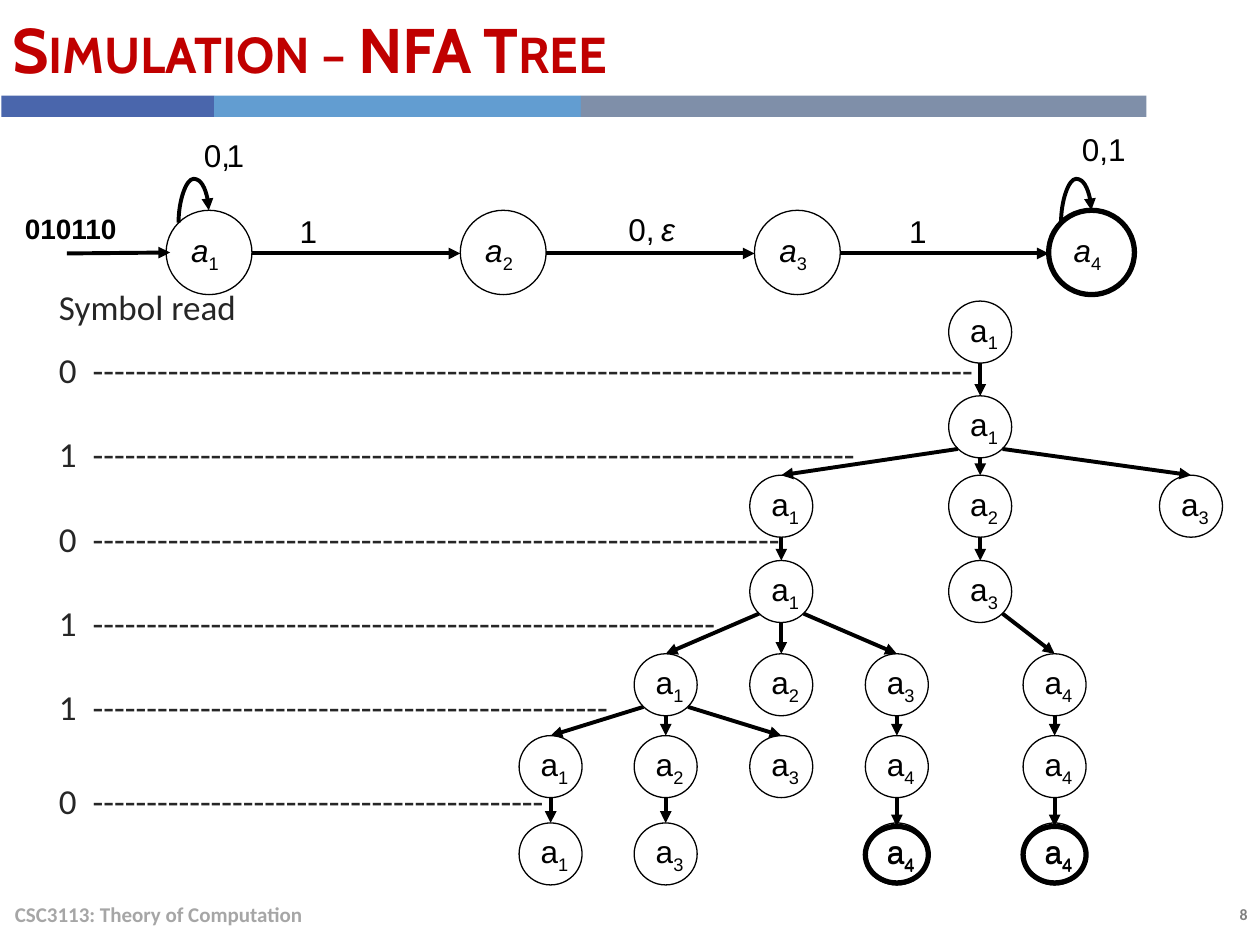
from lxml import etree
from pptx import Presentation, util as u
from pptx.dml import color as c
from pptx.enum import shapes as s, text as t
from pptx.oxml import ns

BLACK = "000000"
LABEL = {"name": "Arial", "size": u.Pt(18)}


def write(paragraph, string, hex_color, font_format):
    """Add a run and set its font from a dict of format values."""
    run = paragraph.add_run()
    run.text = string
    run.font.color.rgb = c.RGBColor.from_string(hex_color)
    for name, value in font_format.items():
        setattr(run.font, name, value)
    return run


def add_arrow(kind, *ends):
    """Add a black connector with an arrowhead; ends are x1, y1, x2, y2 in cm."""
    connector = slide.shapes.add_connector(kind, *[u.Cm(end) for end in ends])
    connector.line.width = u.Pt(2.25)
    connector.line.color.rgb = c.RGBColor.from_string(BLACK)
    etree.SubElement(connector.line._get_or_add_ln(), ns.qn("a:tailEnd"), type="triangle")
    etree.SubElement(connector._element.spPr, ns.qn("a:effectLst"))
    return connector


presentation = Presentation()
presentation.slide_width, presentation.slide_height = u.Cm(25.4), u.Cm(19.05)
slide = presentation.slides.add_slide(presentation.slide_layouts[6])

# Coloured bars under the title
for left, width, fill in [(0.03, 4.29, "4A66AC"), (4.32, 7.39, "629DD1"), (11.71, 11.4, "7F8FA9")]:
    bar = slide.shapes.add_shape(
        s.MSO_SHAPE.RECTANGLE, u.Cm(left), u.Cm(1.93), u.Cm(width), u.Cm(0.43))
    bar.shadow.inherit = False
    bar.fill.solid()
    bar.fill.fore_color.rgb = c.RGBColor.from_string(fill)
    bar.line.fill.background()

# Title, footer, page number and labels of the automaton
MIDDLE, TOP = t.MSO_ANCHOR.MIDDLE, t.MSO_ANCHOR.TOP
LEFT, RIGHT = t.PP_ALIGN.LEFT, t.PP_ALIGN.RIGHT
title_format = {"name": "Cabin", "size": u.Pt(36), "bold": True}
footer_format = {"name": "Calibri", "size": u.Pt(12), "bold": True}
for string, left, top, width, height, anchor, align, hex_color, font_format in [
    ("Simulation – NFA Tree", 0, 0, 23.11, 1.93, MIDDLE, LEFT, "C00000", title_format),
    ("CSC3113: Theory of Computation", 0.05, 17.91, 17.02, 1.02, MIDDLE, LEFT, "A6A6A6",
     footer_format),
    ("8", 22.17, 18.11, 3.23, 0.64, TOP, RIGHT, "808080", footer_format | {"size": u.Pt(9)}),
    ("010110", 0.25, 4.14, 3.2, 0.69, TOP, LEFT, BLACK,
     LABEL | {"size": u.Pt(16), "bold": True}),
    ("0,", 3.86, 2.62, 1.47, 1.02, TOP, LEFT, BLACK, LABEL),
    ("1", 4.32, 2.62, 1.47, 1.02, TOP, LEFT, BLACK, LABEL),
    ("1", 5.79, 4.14, 1.47, 0.76, TOP, LEFT, BLACK, LABEL),
    ("0,", 12.42, 4.11, 1.14, 1.02, TOP, LEFT, BLACK, LABEL),
    ("ε", 13.08, 4.11, 1.14, 1.02, TOP, LEFT, BLACK, LABEL | {"italic": True}),
    ("1", 18.08, 4.14, 0.86, 0.76, TOP, LEFT, BLACK, LABEL),
    ("0,1", 21.56, 2.49, 1.47, 0.76, TOP, LEFT, BLACK, LABEL),
]:
    box = slide.shapes.add_textbox(u.Cm(left), u.Cm(top), u.Cm(width), u.Cm(height))
    box.text_frame.word_wrap = True
    box.text_frame.vertical_anchor = anchor
    paragraph = box.text_frame.paragraphs[0]
    paragraph.alignment = align
    run = write(paragraph, string, hex_color, font_format)
    if font_format is title_format:
        run.font._element.set("cap", "small")

# Symbols read, each with a dashed rule of its own length
box = slide.shapes.add_textbox(u.Cm(0.94), u.Cm(5.64), u.Cm(24.33), u.Cm(11.07))
box.text_frame.word_wrap = True
paragraph = box.text_frame.paragraphs[0]
symbol_format = {"name": "Calibri", "size": u.Pt(20)}
paragraph.space_before = u.Pt(6)
write(paragraph, "Symbol read", "262626", symbol_format)
for symbol, dashes, space in [
    ("0", 82, 12), ("1", 71, 24), ("0", 64, 24), ("1", 58, 24), ("1", 48, 24), ("0", 42, 30),
]:
    paragraph = box.text_frame.add_paragraph()
    paragraph.space_before = u.Pt(space)
    properties = paragraph._p.get_or_add_pPr()
    properties.set("marL", str(u.Cm(0.68)))
    properties.set("indent", str(u.Cm(-0.68)))
    write(paragraph, f"{symbol}\t" + "-" * dashes, "262626", symbol_format)

# Circles: left, top, width, height, index, line width, italic
STATE_LEFT, STATE_STEP, STATE_TOP, STATE_WIDTH, STATE_HEIGHT = 3.35, 5.93, 4.24, 1.73, 1.7
circles = [
    (STATE_LEFT + i * STATE_STEP, STATE_TOP, STATE_WIDTH, STATE_HEIGHT, i + 1,
     3 if i == 3 else 0.75, True)
    for i in range(4)
]

# Tree: column centres, row tops, and nodes as (row, column, index, parent column)
columns = [11.1, 13.42, 15.75, 18.08, 19.76, 21.26, 24.01]
rows = [6.07, 7.98, 9.58, 11.3, 13.18, 14.83, 16.59]
NODE_WIDTH, NODE_HEIGHT = 1.27, 1.25
nodes = [
    (0, 4, 1, None),
    (1, 4, 1, 4),
    (2, 2, 1, 4), (2, 4, 2, 4), (2, 6, 3, 4),
    (3, 2, 1, 2), (3, 4, 3, 4),
    (4, 1, 1, 2), (4, 2, 2, 2), (4, 3, 3, 2), (4, 5, 4, 4),
    (5, 0, 1, 1), (5, 1, 2, 1), (5, 2, 3, 1), (5, 3, 4, 3), (5, 5, 4, 5),
    (6, 0, 1, 0), (6, 1, 3, 1), (6, 3, 4, 3), (6, 5, 4, 5),
]
for row, column, index, parent in nodes:
    left = columns[column] - NODE_WIDTH / 2
    circles.append((left, rows[row], NODE_WIDTH, NODE_HEIGHT, index, 0.75, False))
    if row == 6 and index == 4:  # accepting leaf
        circles.append((left, rows[row] + 0.07, NODE_WIDTH, 1.14, index, 3, False))

for left, top, width, height, index, line_width, italic in circles:
    circle = slide.shapes.add_shape(
        s.MSO_SHAPE.OVAL, u.Cm(left), u.Cm(top), u.Cm(width), u.Cm(height))
    circle.shadow.inherit = False
    circle.fill.background()
    circle.line.width = u.Pt(line_width)
    circle.line.color.rgb = c.RGBColor.from_string(BLACK)
    circle.text_frame.word_wrap = False
    circle.text_frame.vertical_anchor = MIDDLE
    paragraph = circle.text_frame.paragraphs[0]
    paragraph.alignment = LEFT
    write(paragraph, "a", BLACK, LABEL | {"italic": italic})
    subscript = write(paragraph, str(index), BLACK, LABEL)
    subscript.font._element.set("baseline", "-25000")

# Arrows of the automaton
STRAIGHT, CURVE = s.MSO_CONNECTOR.STRAIGHT, s.MSO_CONNECTOR.CURVE
middle = STATE_TOP + STATE_HEIGHT / 2 + 0.02
add_arrow(STRAIGHT, 1.35, middle, 3.43, middle - 0.02)
for i in range(3):
    left = STATE_LEFT + i * STATE_STEP
    add_arrow(STRAIGHT, left + STATE_WIDTH, middle, left + STATE_STEP, middle)

# Self loops: curved connectors turned by 90 degrees
for state in (0, 3):
    left = STATE_LEFT + state * STATE_STEP + 0.43
    loop = add_arrow(CURVE, left + 0.25, 4.67, left, 4.06)
    properties = loop._element.spPr
    properties.find(ns.qn("a:xfrm")).set("rot", "5400000")
    adjustments = properties.find(ns.qn("a:prstGeom")).find(ns.qn("a:avLst"))
    etree.SubElement(adjustments, ns.qn("a:gd"), name="adj1", fmla="val 353500")

# Tree arrows: straight down, or from the lower side of the parent
for row, column, index, parent in nodes[1:]:
    side = (column > parent) - (column < parent)
    drop = 1.07 if side else NODE_HEIGHT
    end = rows[row] + (0.07 if row == 6 and index == 4 else 0)
    add_arrow(STRAIGHT, columns[parent] + side * 0.45, rows[row - 1] + drop, columns[column], end)

presentation.save("out.pptx")
